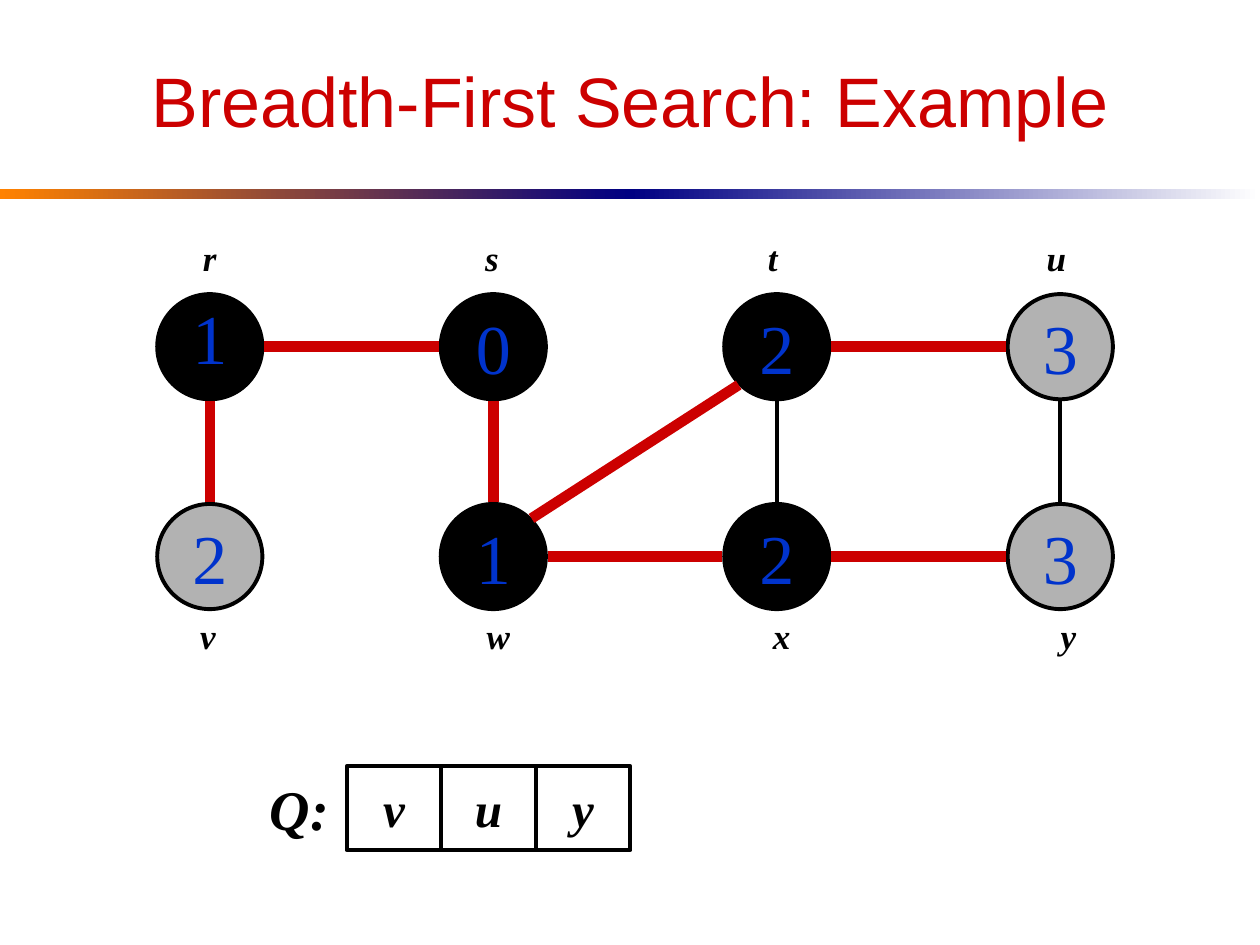
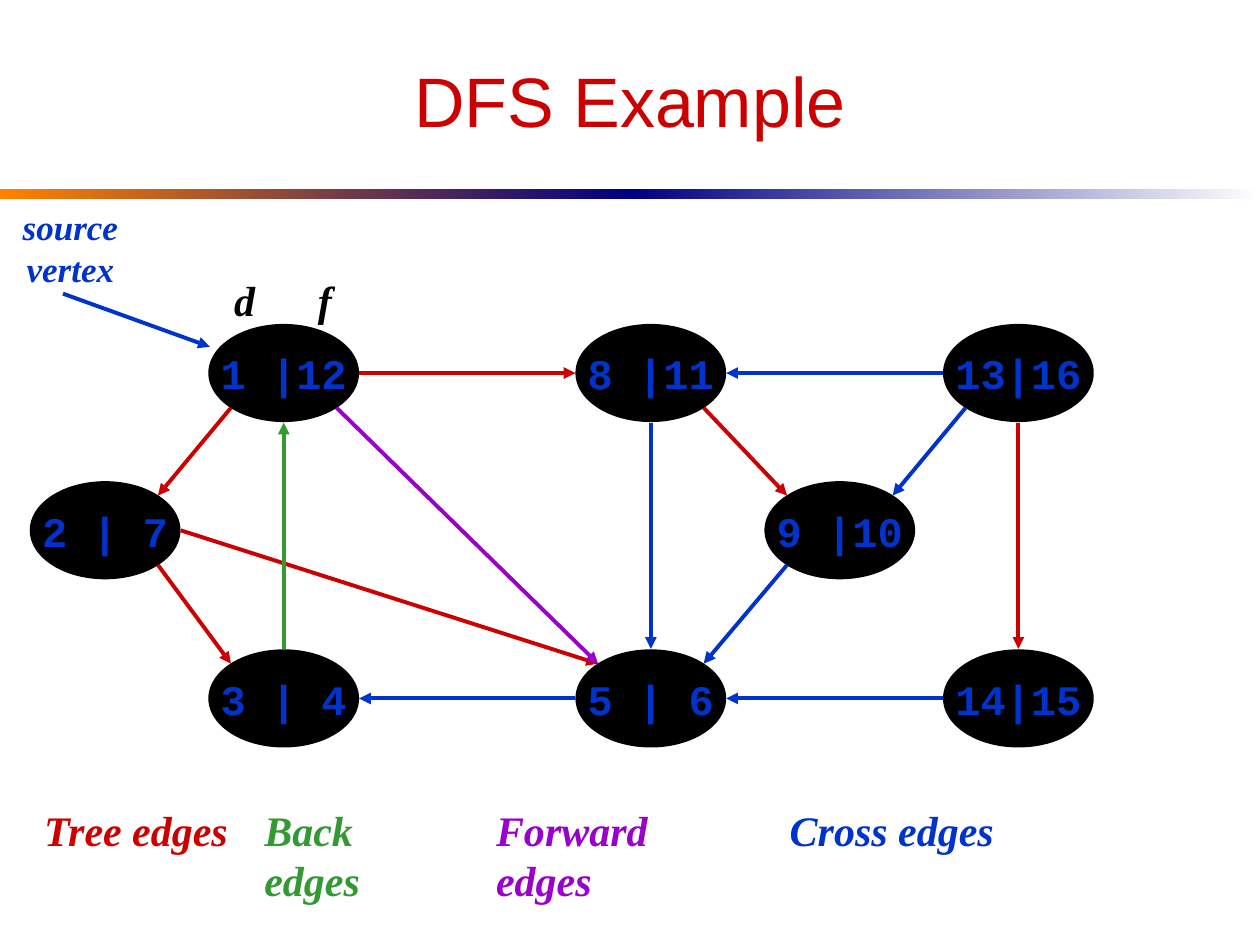
"""Build two graph search slides: a breadth-first step and a depth-first result."""
import lxml.etree
import pptx
import pptx.dml.color
import pptx.enum.shapes
import pptx.enum.text
import pptx.oxml.ns
import pptx.util

Cm = pptx.util.Cm
Pt = pptx.util.Pt
rgb = pptx.dml.color.RGBColor.from_string
qn = pptx.oxml.ns.qn
SHAPE = pptx.enum.shapes.MSO_SHAPE
ALIGN = pptx.enum.text.PP_ALIGN
ANCHOR = pptx.enum.text.MSO_ANCHOR

RED, BLUE, GREEN, PURPLE = "CC0000", "0033CC", "339933", "9900CC"
BLACK, GRAY, WHITE = "000000", "B2B2B2", "FFFFFF"
ORANGE, NAVY = "FF8200", "000082"

TITLE = {"name": "Arial", "size": Pt(40)}
DISTANCE = {"name": "Times New Roman", "size": Pt(40)}
TIMES = {"name": "Courier New", "size": Pt(24), "bold": True}
LABEL = {"name": "Times New Roman", "size": Pt(20), "bold": True, "italic": True}
LEGEND = {**LABEL, "size": Pt(24)}
QUEUE = {**LABEL, "size": Pt(28)}
QUEUE_NAME = {**LABEL, "size": Pt(32)}

SITES = {"l": (-1, 0), "r": (1, 0), "t": (0, -1), "b": (0, 1),
         "tl": (-0.7, -0.7), "tr": (0.7, -0.7), "bl": (-0.7, 0.7), "br": (0.7, 0.7)}


def add_text(s, text, x, y, w, h, font, color, shape=None, fill=None, line=None,
             align=ALIGN.CENTER, anchor=ANCHOR.MIDDLE, spacing=None):
    box = [Cm(v) for v in (x, y, w, h)]
    sp = s.shapes.add_shape(shape, *box) if shape else s.shapes.add_textbox(*box)
    if shape:
        sp.shadow.inherit = False
    if fill:
        sp.fill.solid()
        sp.fill.fore_color.rgb = rgb(fill)
    else:
        sp.fill.background()
    if line:
        sp.line.color.rgb = rgb(line)
        sp.line.width = Pt(2.25)
    tf = sp.text_frame
    tf.text = text
    tf.word_wrap = False
    tf.vertical_anchor = anchor
    for p in tf.paragraphs:
        p.alignment = align
        p.line_spacing = spacing
        for r in p.runs:
            r.font.color.rgb = rgb(color)
            for key, value in font.items():
                setattr(r.font, key, value)


def add_edge(s, start, end, color, width=2.25, arrow=False):
    cx = s.shapes.add_connector(pptx.enum.shapes.MSO_CONNECTOR.STRAIGHT,
                                *[Cm(v) for v in (*start, *end)])
    cx.line.color.rgb = rgb(color)
    cx.line.width = Pt(width)
    if arrow:
        lxml.etree.SubElement(cx.line._get_or_add_ln(), qn("a:tailEnd"), type="triangle")
    lxml.etree.SubElement(cx.element.spPr, qn("a:effectLst"))


prs = pptx.Presentation()
prs.slide_width, prs.slide_height = Cm(25.4), Cm(19.05)

for title in ("Breadth-First Search: Example", "DFS Example"):
    s = prs.slides.add_slide(prs.slide_layouts[6])
    for x, colors in ((0, (ORANGE, NAVY)), (12.7, (NAVY, WHITE))):
        sp = s.shapes.add_shape(SHAPE.RECTANGLE, Cm(x), Cm(3.81), Cm(12.7), Cm(0.21))
        sp.shadow.inherit = False
        sp.line.fill.background()
        sp.fill.gradient()
        sp.fill.gradient_angle = 0
        for stop, color in zip(sp.fill.gradient_stops, colors):
            stop.color.rgb = rgb(color)
    add_text(s, title, 1.27, 0.64, 22.86, 2.75, TITLE, RED)

bfs, dfs = prs.slides

vertices = {}
rows = [
    (6.99, 4.65, [("r", "1", BLACK, 4.23), ("s", "0", BLACK, 9.92),
                  ("t", "2", BLACK, 15.58), ("u", "3", GRAY, 21.27)]),
    (11.22, 12.27, [("v", "2", GRAY, 4.19), ("w", "1", BLACK, 9.98),
                    ("x", "2", BLACK, 15.75), ("y", "3", GRAY, 21.54)]),
]
for cy, label_y, row in rows:
    for i, (name, distance, fill, label_x) in enumerate(row):
        cx = 4.23 + 5.715 * i
        vertices[name] = cx, cy
        add_text(bfs, distance, cx - 1.06, cy - 1.06, 2.12, 2.12, DISTANCE, BLUE,
                 SHAPE.OVAL, fill, BLACK, spacing=0.7 if name == "r" else None)
        add_text(bfs, name, label_x - 0.42, label_y, 0.84, 1.12, LABEL, BLACK,
                 anchor=ANCHOR.TOP)

for a, a_site, b, b_site, color, width in [
    ("v", "t", "r", "b", RED, 6), ("r", "r", "s", "l", RED, 6),
    ("s", "b", "w", "t", RED, 6), ("w", "tr", "t", "bl", RED, 6),
    ("w", "r", "x", "l", RED, 6), ("x", "t", "t", "b", BLACK, 2.25),
    ("t", "r", "u", "l", RED, 6), ("x", "r", "y", "l", RED, 6),
    ("y", "t", "u", "b", BLACK, 2.25),
]:
    start, end = [[c + 1.1 * d for c, d in zip(vertices[v], SITES[site])]
                  for v, site in ((a, a_site), (b, b_site))]
    add_edge(bfs, start, end, color, width)

add_text(bfs, "Q:", 5.08, 15.45, 1.91, 1.69, QUEUE_NAME, BLACK)
for i, name in enumerate("vuy"):
    add_text(bfs, name, 6.99 + 1.905 * i, 15.45, 1.91, 1.69, QUEUE, BLACK,
             SHAPE.RECTANGLE, line=BLACK)

left, middle, right = 5.72, 13.12, 20.53
top, center, bottom = 7.52, 10.69, 14.08
vertices = {
    "1 |12": (left, top), "8 |11": (middle, top), "13|16": (right, top),
    "14|15": (right, bottom), "5 | 6": (middle, bottom), "3 | 4": (left, bottom),
    "2 | 7": (2.12, center), "9 |10": (16.93, center),
}
for times, (cx, cy) in vertices.items():
    add_text(dfs, times, cx - 1.48, cy - 0.95, 2.96, 1.9, TIMES, BLUE,
             SHAPE.OVAL, BLACK, BLACK)

for a, a_site, b, b_site, color in [
    ("1 |12", "bl", "2 | 7", "tr", RED), ("2 | 7", "br", "3 | 4", "tl", RED),
    ("2 | 7", "r", "5 | 6", "tl", RED), ("5 | 6", "l", "3 | 4", "r", BLUE),
    ("3 | 4", "t", "1 |12", "b", GREEN), ("8 |11", "b", "5 | 6", "t", BLUE),
    ("1 |12", "r", "8 |11", "l", RED), ("13|16", "l", "8 |11", "r", BLUE),
    ("8 |11", "br", "9 |10", "tl", RED), ("13|16", "bl", "9 |10", "tr", BLUE),
    ("13|16", "b", "14|15", "t", RED), ("14|15", "l", "5 | 6", "r", BLUE),
    ("9 |10", "bl", "5 | 6", "tr", BLUE), ("1 |12", "br", "5 | 6", "tl", PURPLE),
]:
    start, end = [[c + radius * d for c, radius, d in zip(vertices[v], (1.52, 1), SITES[site])]
                  for v, site in ((a, a_site), (b, b_site))]
    add_edge(dfs, start, end, color, arrow=True)

add_edge(dfs, (1.27, 5.92), (4.23, 6.99), BLUE, arrow=True)
add_text(dfs, "source\nvertex", 0.2, 4.02, 2.44, 1.96, LABEL, BLUE, anchor=ANCHOR.TOP)
for name, x in (("d", 4.93), ("f", 6.55)):
    add_text(dfs, name, x - 0.5, 5.08, 1, 1.91, LEGEND, BLACK)

for name, x, w, color in [("Tree", 0.64, 4.24, RED), ("Back", 5.08, 4.42, GREEN),
                          ("Forward", 9.75, 5.69, PURPLE), ("Cross", 15.67, 4.62, BLUE)]:
    add_text(dfs, f"{name} edges", x, 16.09, w, 1.27, LEGEND, color,
             align=ALIGN.LEFT, anchor=ANCHOR.TOP)

prs.save("out.pptx")
